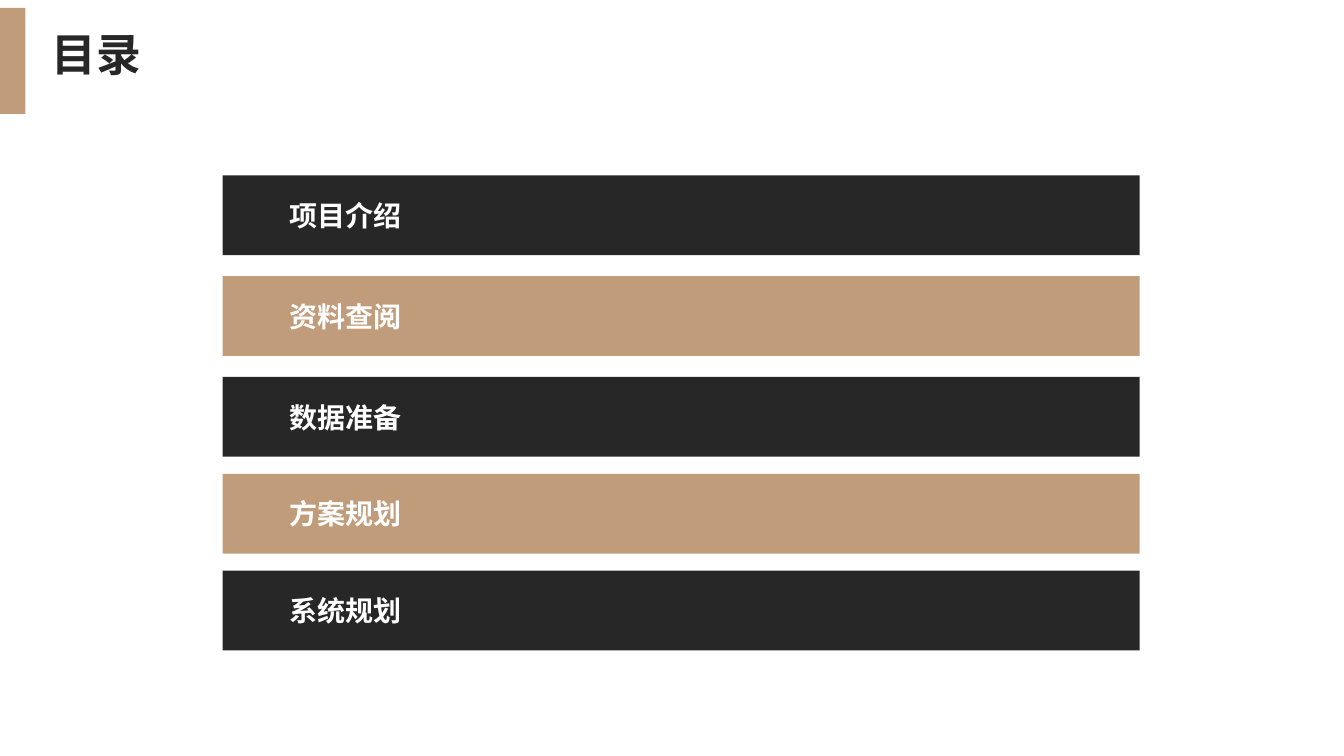
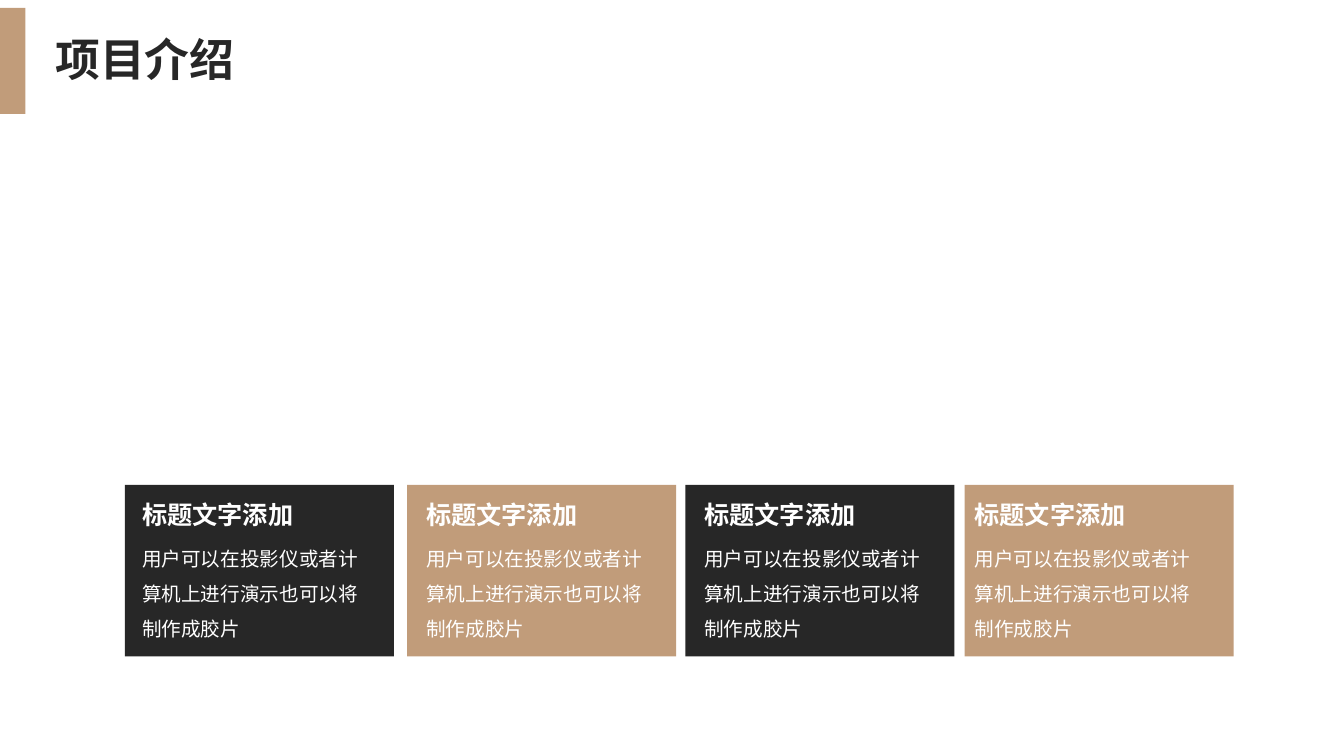
from pptx import Presentation
from pptx.dml.color import RGBColor
from pptx.enum.shapes import MSO_SHAPE
from pptx.enum.text import MSO_ANCHOR, MSO_AUTO_SIZE, PP_ALIGN
from pptx.util import Cm, Pt

DARK = RGBColor(0x27, 0x27, 0x27)
TAN = RGBColor(0xC1, 0x9C, 0x7A)
WHITE = RGBColor(0xFF, 0xFF, 0xFF)
TITLE_FONT = "Noto Sans CJK SC"
HEAD_FONT = "League Spartan"
BODY_FONT = "Arial"
TITLE_ONLY = 5


class Deck:
    """Hold the shared style and the current slide."""

    def __init__(self):
        self.prs = Presentation()
        self.prs.slide_width, self.prs.slide_height = Cm(33.87), Cm(19.05)
        self.s = None

    def slide(self, title, left, top):
        """Start a slide with its title and the accent band."""
        self.s = self.prs.slides.add_slide(self.prs.slide_layouts[TITLE_ONLY])
        sp = self.s.shapes.title
        sp.left, sp.top, sp.width, sp.height = Cm(left), Cm(top), Cm(10.13), Cm(1.75)
        tf = sp.text_frame
        tf.auto_size = MSO_AUTO_SIZE.NONE
        tf.vertical_anchor = MSO_ANCHOR.TOP
        self.add_text(tf.paragraphs[0], title, TITLE_FONT, 32, DARK, True, 1.2)
        self.rect(0, 0.2, 0.64, 2.67, TAN)

    def rect(self, left, top, width, height, color):
        """Add a plain filled rectangle."""
        sp = self.s.shapes.add_shape(
            MSO_SHAPE.RECTANGLE, Cm(left), Cm(top), Cm(width), Cm(height))
        sp.shadow.inherit = False
        sp.fill.solid()
        sp.fill.fore_color.rgb = color
        sp.line.fill.background()
        return sp

    def add_text(self, p, text, font, size, color, bold=False, spacing=1.0):
        """Add one left-aligned run to a paragraph."""
        p.alignment = PP_ALIGN.LEFT
        p.line_spacing = spacing
        r = p.add_run()
        r.text = text
        r.font.name, r.font.size, r.font.bold = font, Pt(size), bold
        r.font.color.rgb = color

    def bar(self, top, text, color):
        """Add one agenda bar."""
        tf = self.rect(5.61, top, 23.11, 2.01, color).text_frame
        tf.margin_left = Cm(1.68)
        tf.vertical_anchor = MSO_ANCHOR.MIDDLE
        self.add_text(tf.paragraphs[0], text, HEAD_FONT, 20, WHITE, True)

    def card(self, left, inset, head, body, color):
        """Add a card with a heading above its text."""
        width, text_width = 6.78, 5.79
        tf = self.rect(left, 12.22, width, 4.32, color).text_frame
        tf.word_wrap = True
        tf.vertical_anchor = MSO_ANCHOR.TOP
        tf.margin_left, tf.margin_right = Cm(inset), Cm(width - text_width - inset)
        tf.margin_top = Cm(0.36)
        self.add_text(tf.paragraphs[0], head, HEAD_FONT, 18, WHITE, True)
        p = tf.add_paragraph()
        p.space_before = Pt(4)
        self.add_text(p, body, BODY_FONT, 14, WHITE, spacing=1.5)


def main():
    """Build and save both slides."""
    deck = Deck()
    colors = (DARK, TAN)

    deck.slide("目录", 1.04, 0.28)
    topics = ("项目介绍", "资料查阅", "数据准备", "方案规划", "系统规划")
    tops = (4.42, 6.96, 9.5, 11.94, 14.38)
    for i, (top, topic) in enumerate(zip(tops, topics)):
        deck.bar(top, topic, colors[i % 2])

    deck.slide(topics[0], 1.14, 0.41)
    body = "用户可以在投影仪或者计算机上进行演示也可以将制作成胶片"
    cards = ((3.15, 0.43), (10.26, 0.48), (17.27, 0.48), (24.31, 0.25))
    for i, (left, inset) in enumerate(cards):
        deck.card(left, inset, "标题文字添加", body, colors[i % 2])

    deck.prs.save("out.pptx")


if __name__ == "__main__":
    main()
